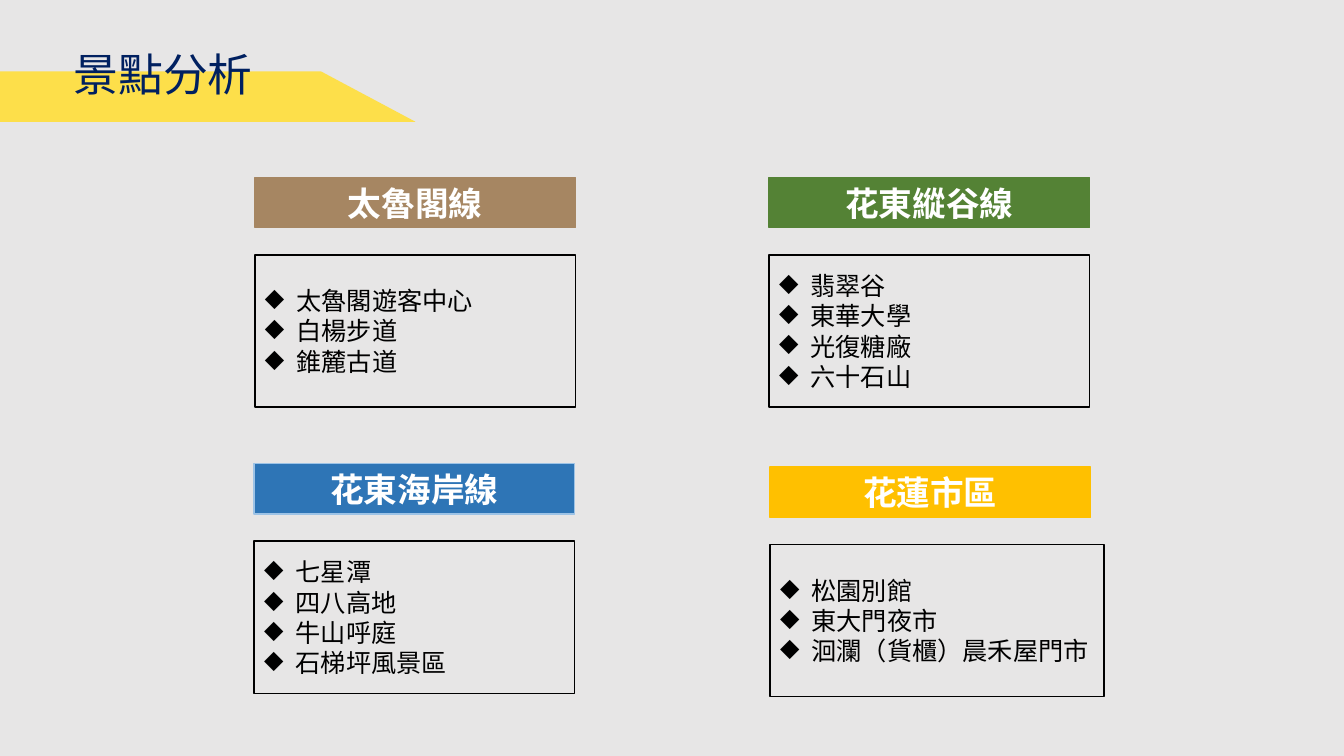
from pptx import Presentation
from pptx.dml.color import RGBColor
from pptx.enum import shapes, text
from pptx.oxml import ns, xmlchemy
from pptx.util import Pt

SANS = "Noto Sans CJK SC"
HEADING = "Noto Sans CJK TC"


def color(value):
    return RGBColor.from_string(value)


def place(item, left, top, width, height):
    item.left, item.top = Pt(left), Pt(top)
    item.width, item.height = Pt(width), Pt(height)


def add_child(parent, tag, **attributes):
    child = xmlchemy.OxmlElement(tag)
    for name, value in attributes.items():
        child.set(name, value)
    parent.append(child)


def add_text(paragraph, words, size, ink, font, bold=False):
    run = paragraph.add_run()
    run.text = words
    run.font.size = Pt(size)
    run.font.bold = bold
    run.font.color.rgb = color(ink)
    run.font.name = font
    add_child(run.font._element, "a:ea", typeface=font)


def set_frame(frame, anchor):
    frame.word_wrap = True
    frame.auto_size = text.MSO_AUTO_SIZE.NONE
    frame.vertical_anchor = anchor
    frame.margin_left = frame.margin_right = Pt(7.2)
    frame.margin_top = frame.margin_bottom = Pt(3.6)


def add_title(slide, left, top, width, height):
    builder = slide.shapes.build_freeform(Pt(left), Pt(top + 21.5))
    builder.add_line_segments([
        (Pt(left + width), Pt(top + 21.5)),
        (Pt(left + width + 67.5), Pt(top + 57.5)),
        (Pt(left), Pt(top + 57.5)),
    ])
    band = builder.convert_to_shape()
    band.shadow.inherit = False
    band.fill.solid()
    band.fill.fore_color.rgb = color("FDDF4A")
    band.line.fill.background()

    title = slide.shapes.title
    band._element.addnext(title._element)
    place(title, left + 2, top, width, height)
    set_frame(title.text_frame, text.MSO_ANCHOR.MIDDLE)
    paragraph = title.text_frame.paragraphs[0]
    paragraph.alignment = text.PP_ALIGN.CENTER
    add_text(paragraph, "景點分析", 32, "002060", SANS)


def add_route(slide, spots_box, left, top, width, name, fill, border, spots):
    heading = slide.shapes.add_shape(
        shapes.MSO_SHAPE.RECTANGLE, Pt(left), Pt(top), Pt(229), Pt(36))
    heading.shadow.inherit = False
    heading.fill.solid()
    heading.fill.fore_color.rgb = color(fill)
    heading.line.color.rgb = color(border)
    heading.line.width = Pt(1)
    set_frame(heading.text_frame, text.MSO_ANCHOR.MIDDLE)
    paragraph = heading.text_frame.paragraphs[0]
    paragraph.alignment = text.PP_ALIGN.CENTER
    add_text(paragraph, name, 24, "FFFFFF", HEADING, True)

    place(spots_box, left, top + 55.25, width, 108.7)
    spots_box.line.color.rgb = color("000000")
    spots_box.line.width = Pt(1)
    frame = spots_box.text_frame
    set_frame(frame, text.MSO_ANCHOR.MIDDLE)
    for index, spot in enumerate(spots):
        paragraph = frame.add_paragraph() if index else frame.paragraphs[0]
        paragraph.alignment = text.PP_ALIGN.LEFT
        paragraph.space_before = paragraph.space_after = Pt(0)
        paragraph.line_spacing = Pt(21.6)
        properties = paragraph._element.get_or_add_pPr()
        properties.set("marL", str(Pt(22.5)))
        properties.set("indent", str(Pt(-22.5)))
        add_child(properties, "a:buFont", typeface="OpenSymbol")
        add_child(properties, "a:buChar", char="◆")
        add_text(paragraph, spot, 18, "000000", SANS)


ROUTES = [
    (182, 126.75, 229, "太魯閣線", "A68662", "A68662",
     ["太魯閣遊客中心", "白楊步道", "錐麓古道"]),
    (181.5, 331.25, 229, "花東海岸線", "2E75B6", "9DC3E6",
     ["七星潭", "四八高地", "牛山呼庭", "石梯坪風景區"]),
    (549.25, 126.75, 229, "花東縱谷線", "548235", "548235",
     ["翡翠谷", "東華大學", "光復糖廠", "六十石山"]),
    (550, 333.5, 238.5, "花蓮市區", "FFC000", "FFC000",
     ["松園別館", "東大門夜市", "洄瀾（貨櫃）晨禾屋門市"]),
]


def main():
    deck = Presentation()
    deck.slide_width, deck.slide_height = Pt(960), Pt(540)
    slide = deck.slides.add_slide(deck.slide_layouts.get_by_name("Comparison"))
    slide.background.fill.solid()
    slide.background.fill.fore_color.rgb = color("E7E6E6")
    add_title(slide, 0, 29.5, 229.25, 46)
    spots_boxes = list(slide.placeholders)[1:]
    for spots_box, route in zip(spots_boxes, ROUTES):
        add_route(slide, spots_box, *route)
    deck.save("out.pptx")


if __name__ == "__main__":
    main()
